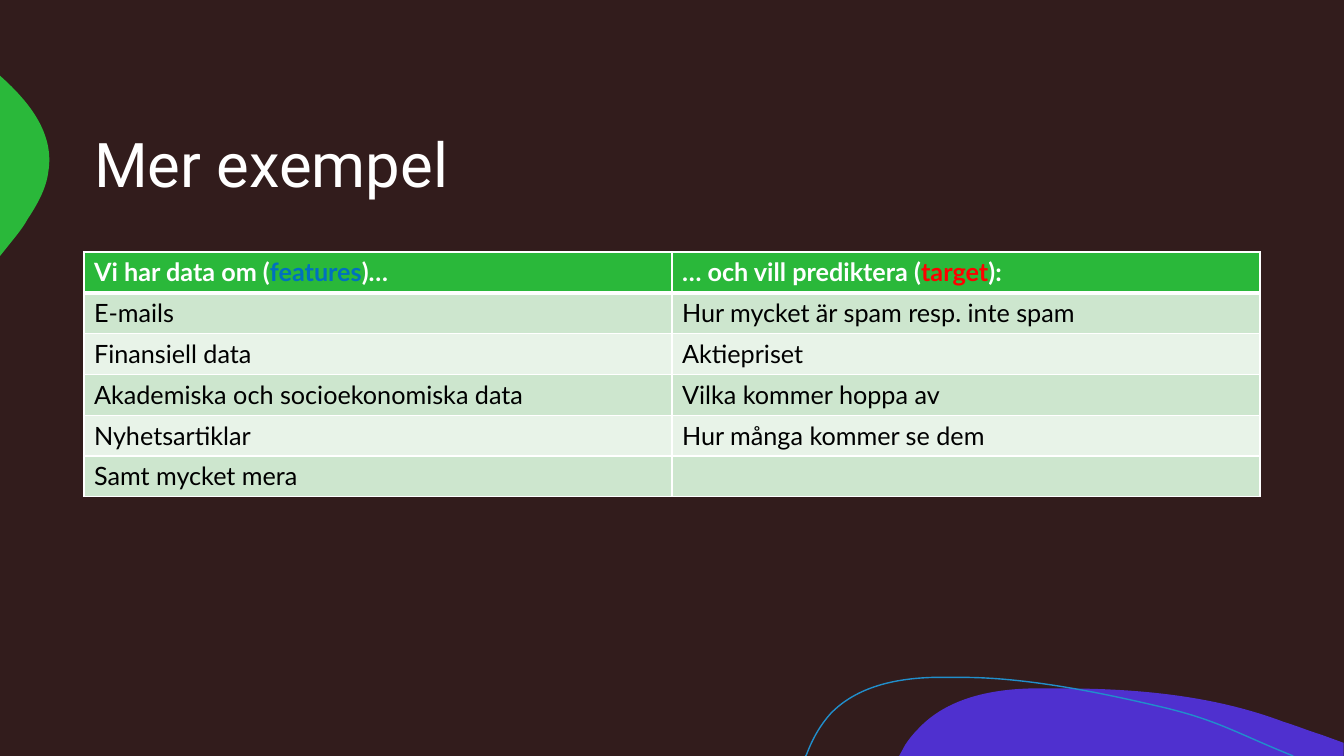
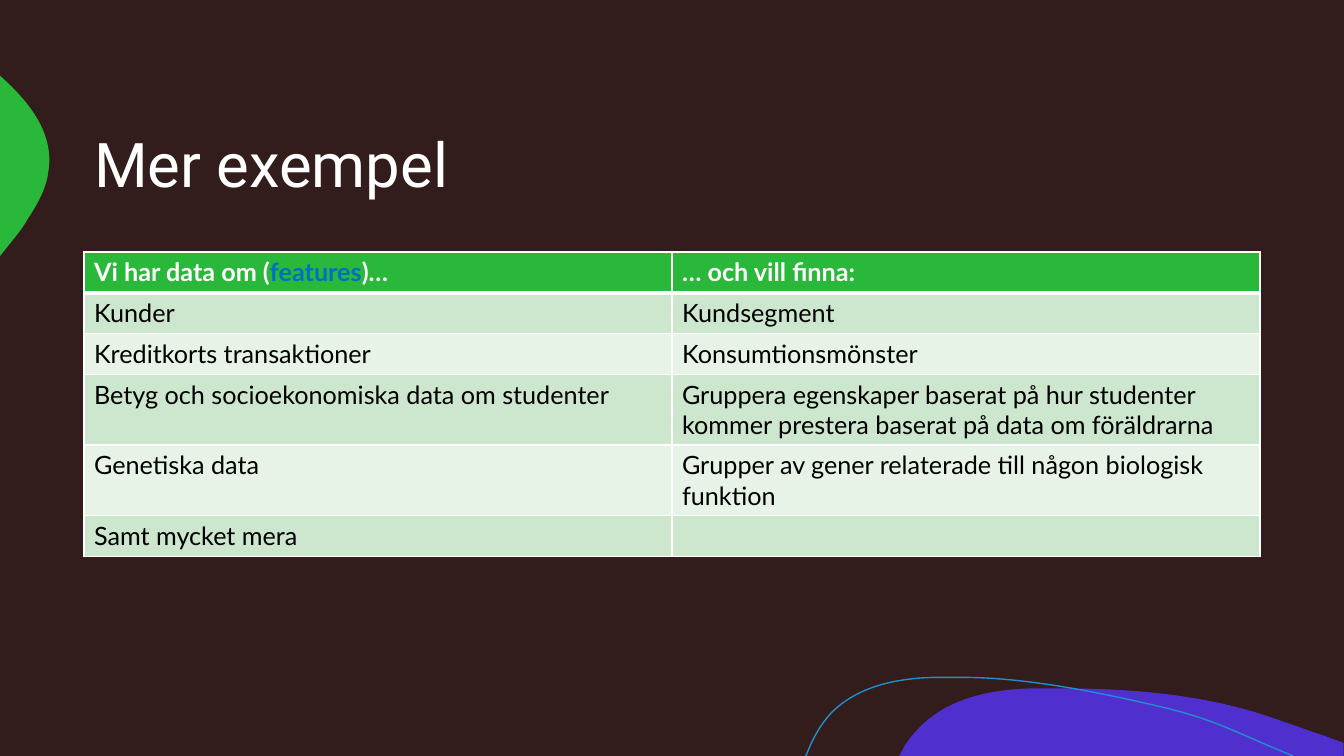
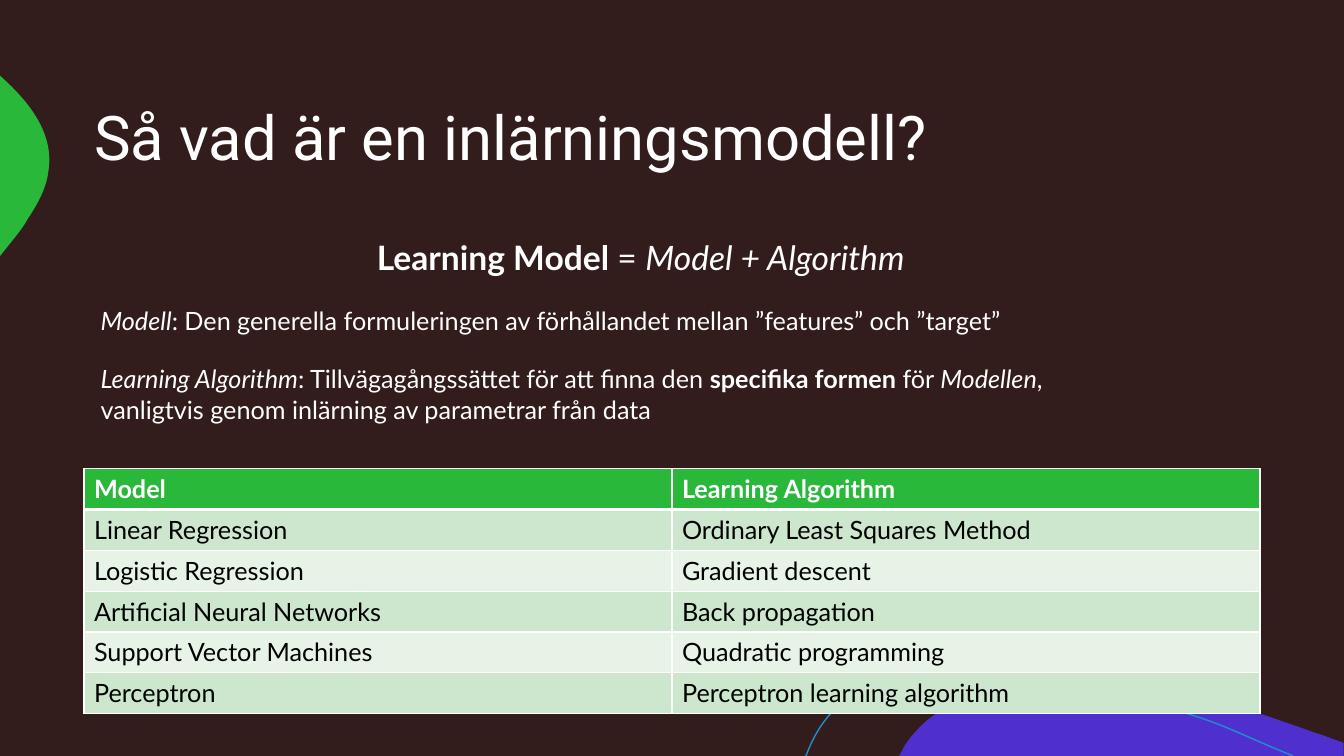
from lxml import etree
from pptx import Presentation
from pptx.dml.color import RGBColor
from pptx.enum import text
from pptx.oxml import ns
from pptx.util import Inches, Pt

# Theme
BACKGROUND, GREEN, PURPLE, BLUE_LINE = "321C1C", "2AB83A", "4F30CF", "218ECB"
BANDS = ("CDE6CE", "E8F3E8")
WHITE, BLACK, FEATURE, TARGET = "FFFFFF", "000000", "0070C0", "FF0000"
TITLE_FONT, BODY_FONT = "Roboto", "Lato"

# Layout: 16:9, with a sixteenth of the width as margin
SLIDE_HEIGHT = 7.5
SLIDE_WIDTH = SLIDE_HEIGHT * 16 / 9
MARGIN = SLIDE_WIDTH / 16
WIDTH = SLIDE_WIDTH - 2 * MARGIN
TABLE_HEIGHT = 2.43

# Decorations: a start point, then lines (x, y) or Bézier curves (six values)
DECORATIONS = [
    dict(fill=PURPLE, start=(10.54, 6.83), edges=[
        (11.28, 6.83, 12.04, 6.9, 12.73, 7.16), (12.86, 7.2, 12.98, 7.25, 13.11, 7.29),
        (13.33, 7.37), (13.33, 7.5), (8.92, 7.5), (8.98, 7.39),
        (9.02, 7.33, 9.06, 7.28, 9.11, 7.23), (9.39, 6.93, 9.82, 6.84, 10.23, 6.83),
        (10.33, 6.83, 10.43, 6.83, 10.54, 6.83)]),
    dict(fill=GREEN, start=(0, 0.75), edges=[
        (0.01, 0.76), (0.3, 1.02, 0.54, 1.33, 0.48, 1.7),
        (0.46, 1.87, 0.37, 2.03, 0.27, 2.18), (0.24, 2.24, 0.17, 2.33, 0.08, 2.44),
        (0, 2.54)]),
    dict(line=BLUE_LINE, start=(7.99, 7.5), edges=[
        (8, 7.49), (8.06, 7.33, 8.14, 7.19, 8.24, 7.08),
        (8.5, 6.81, 8.89, 6.73, 9.26, 6.72), (9.55, 6.72),
        (10.22, 6.72, 11, 6.89, 11.55, 7.02), (12.09, 7.15, 12.26, 7.27, 12.83, 7.5)]),
]

# Content: a text is a string or a list of spans (text, format)
BOLD, ITALIC = dict(bold=True), dict(italic=True)
FEATURES_HEAD = [("Vi har data om (", {}), ("features", dict(color=FEATURE)), (")…", {})]
TARGET_HEAD = [("… och vill prediktera (", {}), ("target", dict(color=TARGET)), ("):", {})]

PAGES = [
    dict(title="Mer exempel", title_height=1.67, table_top=2.5, rows=[
        (FEATURES_HEAD, TARGET_HEAD),
        ("E-mails", "Hur mycket är spam resp. inte spam"),
        ("Finansiell data", "Aktiepriset"),
        ("Akademiska och socioekonomiska data", "Vilka kommer hoppa av"),
        ("Nyhetsartiklar", "Hur många kommer se dem"),
        ("Samt mycket mera", "")]),
    dict(title="Mer exempel", title_height=1.67, table_top=2.5, rows=[
        (FEATURES_HEAD, "… och vill finna:"),
        ("Kunder", "Kundsegment"),
        ("Kreditkorts transaktioner", "Konsumtionsmönster"),
        ("Betyg och socioekonomiska data om studenter",
         "Gruppera egenskaper baserat på hur studenter kommer prestera "
         "baserat på data om föräldrarna"),
        ("Genetiska data", "Grupper av gener relaterade till någon biologisk funktion"),
        ("Samt mycket mera", "")]),
    dict(title="Så vad är en inlärningsmodell?", title_height=1.13, table_top=4.65, rows=[
        ("Model", "Learning Algorithm"),
        ("Linear Regression", "Ordinary Least Squares Method"),
        ("Logistic Regression", "Gradient descent"),
        ("Artificial Neural Networks", "Back propagation"),
        ("Support Vector Machines", "Quadratic programming"),
        ("Perceptron", "Perceptron learning algorithm")],
        notes=[
            ((3.64, 2.3, 6.05, 0.5), 24, [
                ("Learning Model ", BOLD), ("= ", {}), ("Model + Algorithm", ITALIC)]),
            ((0.9, 2.98, 9.66, 0.4), 18, [
                ("Modell", ITALIC),
                (": Den generella formuleringen av förhållandet mellan "
                 "”features” och ”target”", {})]),
            ((0.9, 3.56, 10.07, 0.71), 18, [
                ("Learning Algorithm", ITALIC),
                (": Tillvägagångssättet för att finna den ", {}),
                ("specifika formen", BOLD), (" för ", {}), ("Modellen", ITALIC),
                (", vanligtvis genom inlärning av parametrar från data", {})])]),
]


def rgb(color):
    return RGBColor.from_string(color)


def place(shape, left, top, width, height):
    shape.left, shape.top = Inches(left), Inches(top)
    shape.width, shape.height = Inches(width), Inches(height)


def write(frame, content, size=18, font=BODY_FONT, color=WHITE, bold=False, spacing=None):
    para = frame.paragraphs[0]
    para.alignment = text.PP_ALIGN.LEFT
    para.line_spacing = spacing
    for words, extra in [(content, {})] if isinstance(content, str) else content:
        span = para.add_run()
        span.text = words
        span.font.size, span.font.name = Pt(size), font
        span.font.bold = extra.get("bold", bold)
        span.font.italic = extra.get("italic", False)
        span.font.color.rgb = rgb(extra.get("color", color))


def bend(shape, edges):
    """Turn the straight segments of a freeform into its Bézier curves."""
    segments = list(shape.element.iter(ns.qn("a:lnTo")))
    for segment, edge in zip(segments, edges):
        if len(edge) == 2:
            continue
        curve = etree.Element(ns.qn("a:cubicBezTo"))
        for x, y in zip(edge[::2], edge[1::2]):
            etree.SubElement(curve, ns.qn("a:pt"), x=str(Inches(x) - shape.left),
                             y=str(Inches(y) - shape.top))
        segment.getparent().replace(segment, curve)


def add_decoration(page, start, edges, fill=None, line=None):
    builder = page.shapes.build_freeform(*map(Inches, start))
    ends = [(Inches(edge[-2]), Inches(edge[-1])) for edge in edges]
    builder.add_line_segments(ends, close=bool(fill))
    shape = builder.convert_to_shape()
    bend(shape, edges)
    shape.shadow.inherit = False
    if fill:
        shape.fill.solid()
        shape.fill.fore_color.rgb = rgb(fill)
        shape.line.fill.background()
    else:
        shape.fill.background()
        shape.line.color.rgb = rgb(line)
        shape.line.width = Pt(1)
    return shape


def set_borders(cell, **widths):
    properties = cell._tc.get_or_add_tcPr()
    for index, side in enumerate("LRTB"):
        line = etree.Element(ns.qn("a:ln" + side), w=str(Pt(widths.get(side, 1))))
        fill = etree.SubElement(line, ns.qn("a:solidFill"))
        etree.SubElement(fill, ns.qn("a:srgbClr"), val=WHITE)
        properties.insert(index, line)


def add_table(page, top, rows):
    table = page.shapes.add_table(len(rows), len(rows[0]), Inches(MARGIN), Inches(top),
                                  Inches(WIDTH), Inches(TABLE_HEIGHT)).table
    for r, row in enumerate(rows):
        head = r == 0
        for c, content in enumerate(row):
            cell = table.cell(r, c)
            cell.fill.solid()
            cell.fill.fore_color.rgb = rgb(GREEN if head else BANDS[(r - 1) % 2])
            set_borders(cell, T=3 if r == 1 else 1, B=3 if head else 1)
            if content:
                write(cell.text_frame, content, color=WHITE if head else BLACK, bold=head)


def add_page(deck, layout, title, title_height, table_top, rows, notes=()):
    page = deck.slides.add_slide(layout)
    heading = page.shapes.title
    place(heading, MARGIN, 0.83, WIDTH, title_height)
    heading.text_frame.vertical_anchor = text.MSO_ANCHOR.MIDDLE
    write(heading.text_frame, title, size=44, font=TITLE_FONT, spacing=0.9)
    add_table(page, table_top, rows)
    for area, size, spans in notes:
        box = page.shapes.add_textbox(*map(Inches, area))
        box.text_frame.word_wrap = True
        write(box.text_frame, spans, size=size)
    return page


def main():
    deck = Presentation()
    deck.slide_width, deck.slide_height = Inches(SLIDE_WIDTH), Inches(SLIDE_HEIGHT)
    layout = deck.slide_layouts.get_by_name("Title Only")
    layout.background.fill.solid()
    layout.background.fill.fore_color.rgb = rgb(BACKGROUND)
    pages = [add_page(deck, layout, **content) for content in PAGES]

    # Draw the decorations once and move them behind the layout's placeholders
    for index, decoration in enumerate(DECORATIONS):
        shape = add_decoration(pages[0], **decoration)
        layout.shapes.element.insert(2 + index, shape.element)

    deck.save("out.pptx")


if __name__ == "__main__":
    main()
